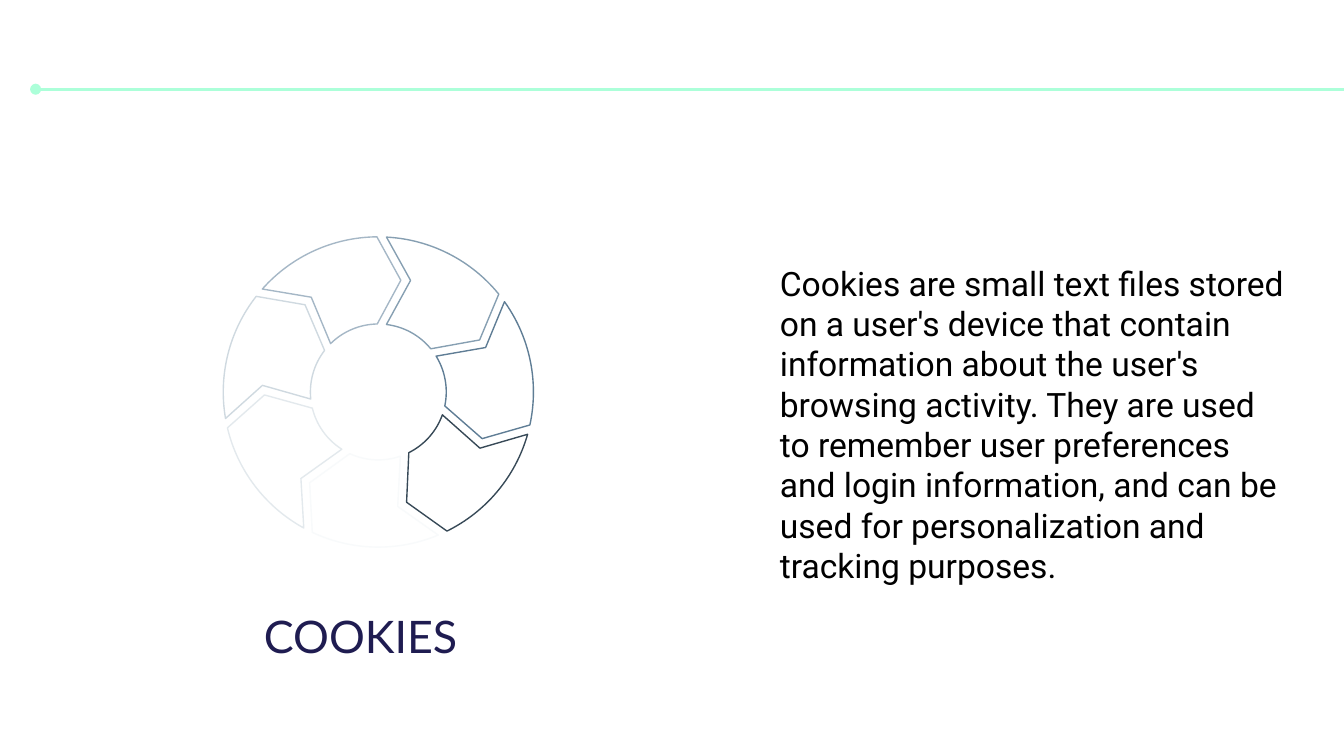
from dataclasses import dataclass
from math import atan, cos, degrees, hypot, radians, sin, tan

from lxml import etree
from pptx import Presentation
from pptx.dml.color import RGBColor
from pptx.enum.shapes import MSO_CONNECTOR
from pptx.enum.text import MSO_ANCHOR, MSO_AUTO_SIZE, PP_ALIGN
from pptx.oxml.ns import qn
from pptx.util import Pt

STRAIGHT = MSO_CONNECTOR.STRAIGHT
TOP = MSO_ANCHOR.TOP
NO_FIT = MSO_AUTO_SIZE.NONE
LEFT, CENTER = PP_ALIGN.LEFT, PP_ALIGN.CENTER


@dataclass(frozen=True)
class Theme:
    mint: str = "ACFFD9"
    navy: str = "1F1C51"
    black: str = "000000"
    head_font: str = "Lato"
    body_font: str = "Roboto"
    head_size: float = 24
    body_size: float = 18
    rule: float = 1.5
    edge: float = 0.75


@dataclass(frozen=True)
class Ring:
    x: float
    y: float
    outer: float
    inner: float
    notch: float
    tip: float


@dataclass(frozen=True)
class Part:
    turn: float
    color: str


THEME = Theme()
RING = Ring(x=202.7, y=210, outer=83.1, inner=36.4, notch=62.2, tip=61)
COLORS = ("869FB2", "5F7D95", "374957", "F8FAFB", "E3E9ED", "CFD9E0", "A5B7C6")
PARTS = [Part(i * 360 / len(COLORS), color) for i, color in enumerate(COLORS)]
BODY = (
    "Cookies are small text files stored on a user's device that contain "
    "information about the user's browsing activity. They are used to "
    "remember user preferences and login information, and can be used for "
    "personalization and tracking purposes."
)


def write(shape, text: str, *, font: str, size: float, color: str,
          align=LEFT, after: float = 0) -> None:
    frame = shape.text_frame
    frame.word_wrap = True
    frame.auto_size = NO_FIT
    frame.vertical_anchor = TOP
    frame.margin_left = frame.margin_right = Pt(7.2)
    frame.margin_top = frame.margin_bottom = Pt(7.2)
    line = frame.paragraphs[0]
    line.alignment = align
    line.space_after = Pt(after)
    run = line.add_run()
    run.text = text
    run.font.name = font
    run.font.size = Pt(size)
    run.font.color.rgb = RGBColor.from_string(color)


def place(shape, x: float, y: float, width: float, height: float) -> None:
    shape.left, shape.top = Pt(x), Pt(y)
    shape.width, shape.height = Pt(width), Pt(height)


def spot(ring: Ring, radius: float, angle: float) -> tuple[int, int]:
    turn = radians(angle)
    return Pt(ring.x + radius * sin(turn)), Pt(ring.y - radius * cos(turn))


def arc(ring: Ring, radius: float, start: float,
        end: float) -> list[tuple[int, int]]:
    pull = 4 / 3 * tan(radians(end - start) / 4)
    reach, lean = radius * hypot(1, pull), degrees(atan(pull))
    return [
        spot(ring, radius, start),
        spot(ring, reach, start + lean),
        spot(ring, reach, end - lean),
        spot(ring, radius, end),
    ]


def bend(shape, starts: tuple[int, ...]) -> None:
    lines = list(shape._element.iter(qn("a:lnTo")))
    for start in starts:
        group = lines[start:start + 3]
        curve = etree.Element(qn("a:cubicBezTo"))
        group[0].addprevious(curve)
        for line in group:
            curve.append(line[0])
            line.getparent().remove(line)


def draw_part(shapes, ring: Ring, part: Part) -> None:
    turn = part.turn
    points = [
        *arc(ring, ring.inner, turn + 6.8, turn + 50.5),
        spot(ring, ring.tip, turn + 62.8),
        *arc(ring, ring.outer, turn + 50.9, turn + 3),
        spot(ring, ring.notch, turn + 16.1),
    ]
    outline = shapes.build_freeform(*points[0])
    outline.add_line_segments(points[1:], close=True)
    shape = outline.convert_to_shape()
    bend(shape, (0, 5))
    shape.shadow.inherit = False
    shape.fill.background()
    shape.line.color.rgb = RGBColor.from_string(part.color)
    shape.line.width = Pt(THEME.edge)


def draw_rule(shapes, start: float, end: float, y: float) -> None:
    rule = shapes.add_connector(STRAIGHT, Pt(start), Pt(y), Pt(end), Pt(y))
    rule.line.color.rgb = RGBColor.from_string(THEME.mint)
    rule.line.width = Pt(THEME.rule)
    etree.SubElement(rule.line._get_or_add_ln(), qn("a:headEnd"), type="oval")
    etree.SubElement(rule._element.spPr, qn("a:effectLst"))


def main() -> None:
    deck = Presentation()
    deck.slide_width, deck.slide_height = Pt(720), Pt(405)
    slide = deck.slides.add_slide(deck.slide_layouts[5])
    shapes = slide.shapes

    draw_rule(shapes, 19.1, 727.2, 47.8)

    body = shapes.add_textbox(Pt(410.7), Pt(133.5), Pt(287.3), Pt(240.5))
    write(body, BODY, font=THEME.body_font, size=THEME.body_size,
          color=THEME.black, after=16)

    place(shapes.title, 60.7, 319, 265, 36.7)
    write(shapes.title, "COOKIES", font=THEME.head_font, size=THEME.head_size,
          color=THEME.navy, align=CENTER)

    wheel = shapes.add_group_shape()
    for part in PARTS:
        draw_part(wheel.shapes, RING, part)

    deck.save("out.pptx")


if __name__ == "__main__":
    main()
